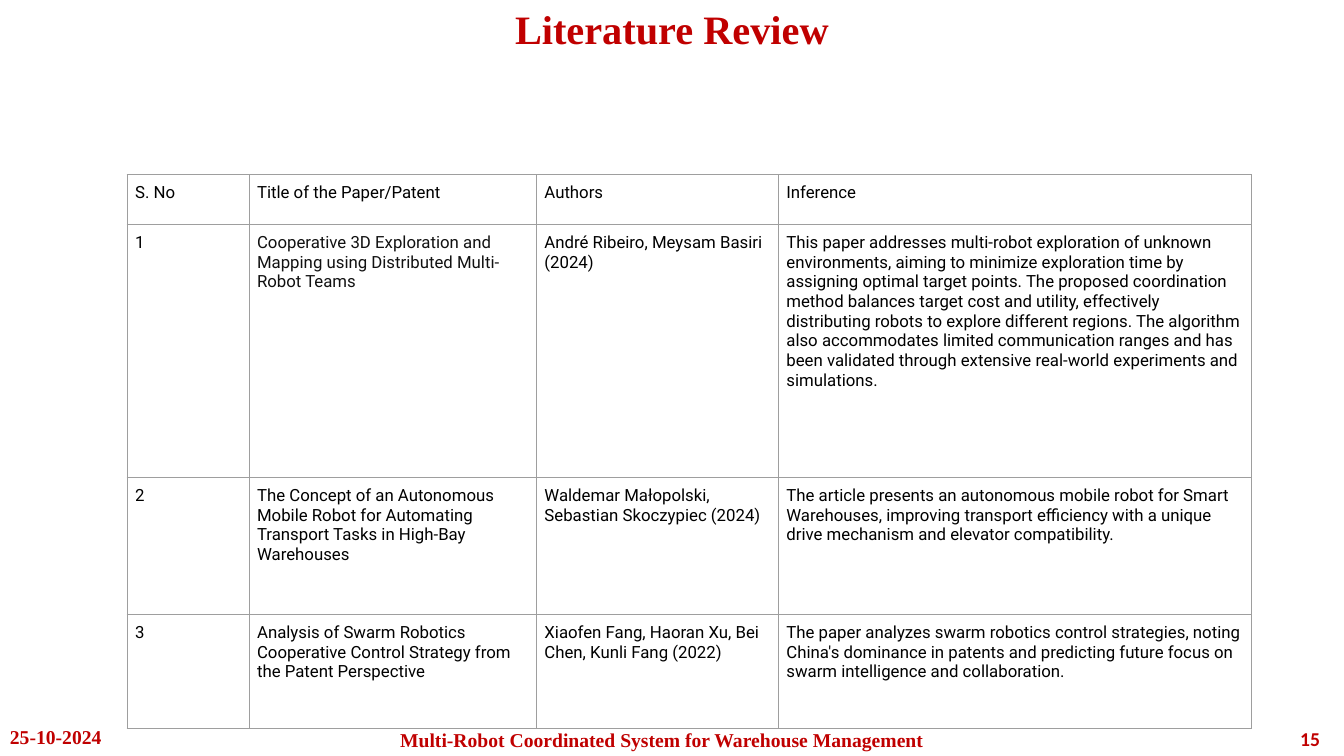
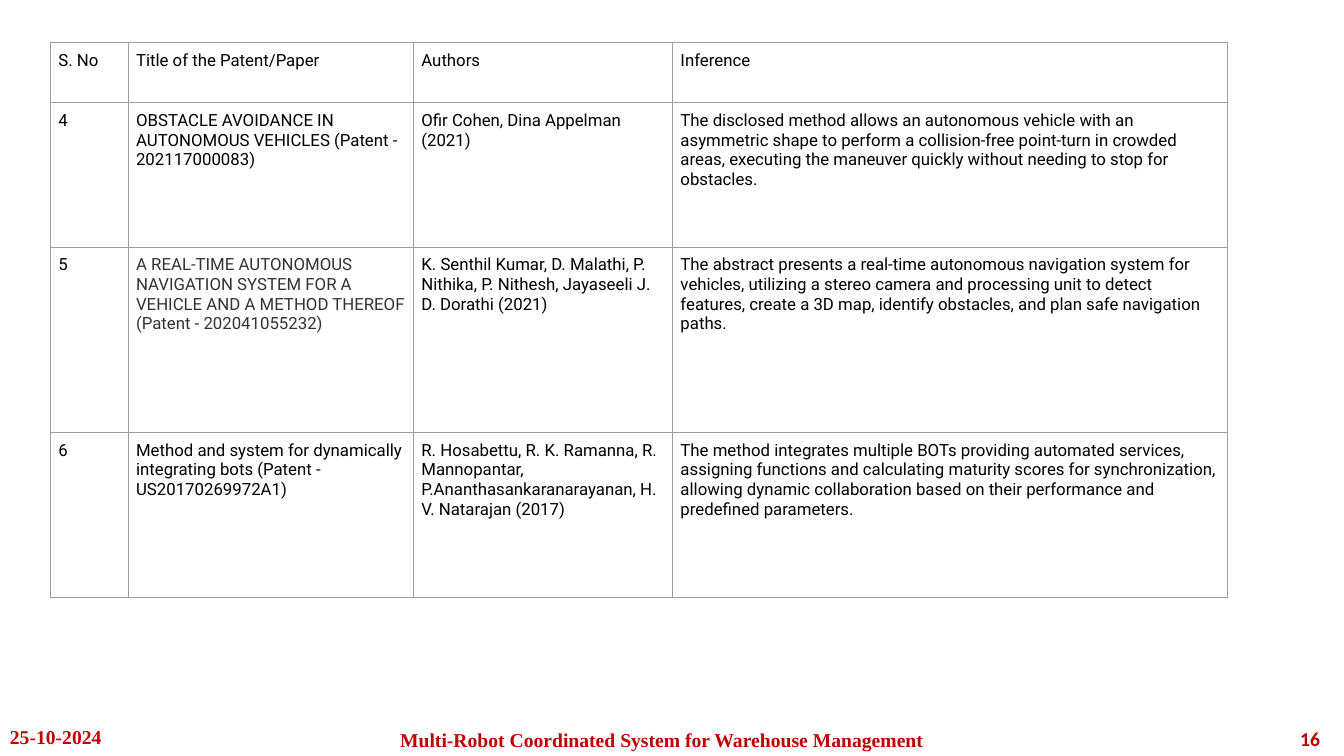
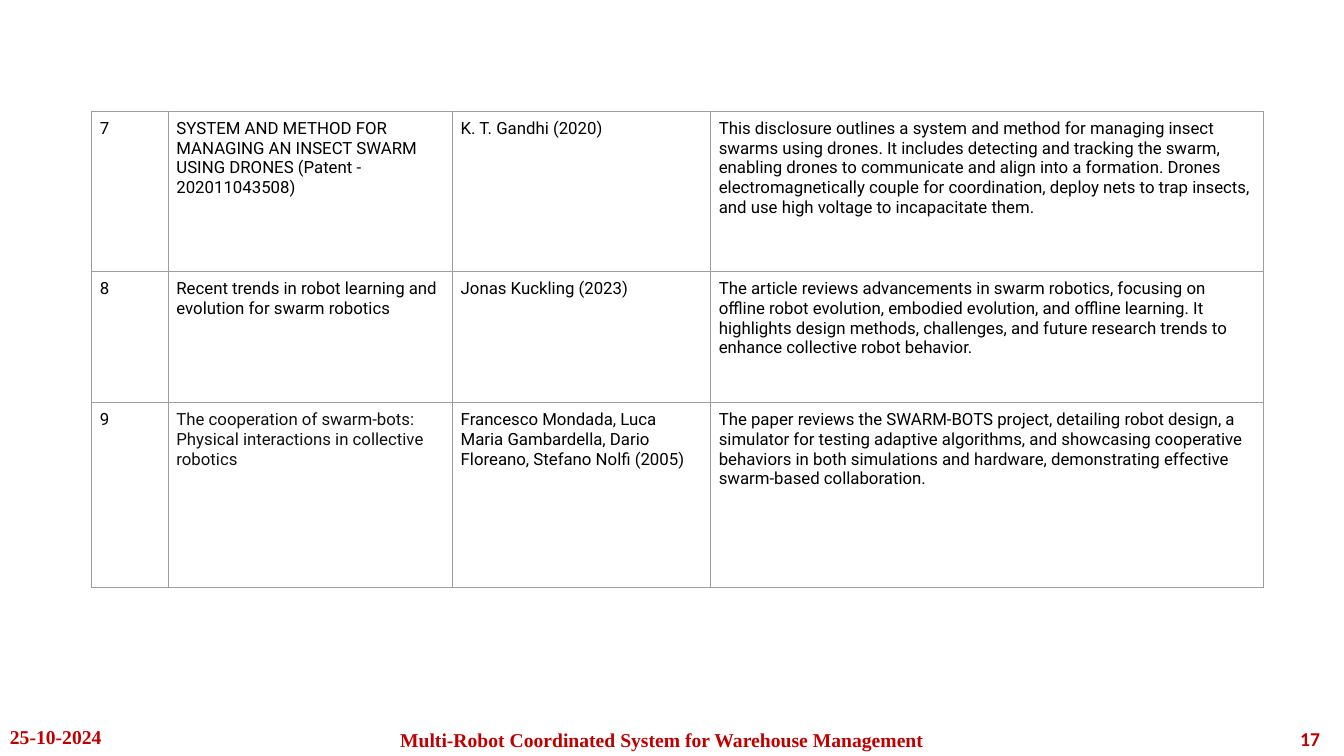
from dataclasses import dataclass

import pptx
import pptx.dml.color
import pptx.enum.text
import pptx.oxml
import pptx.oxml.ns
import pptx.util
from pptx.util import Inches

HUES = {"red": "C00000", "black": "000000", "ink": "111111", "slate": "333333", "rule": "9E9E9E"}
SERIF = "Times New Roman"
FIRST = 15
INSET = Inches(0.08)
ALIGN = pptx.enum.text.PP_ALIGN
MIDDLE = pptx.enum.text.MSO_ANCHOR.MIDDLE


@dataclass
class Label:
    left: float
    width: float
    height: float
    font: str
    align: ALIGN
    text: str = ""


@dataclass
class Paper:
    number: str
    title: str
    authors: str
    notes: str
    hue: str = "black"


@dataclass
class Page:
    left: float
    top: float
    cols: list[float]
    rows: list[float]
    papers: list[Paper]
    title: str = ""


FOOTER = [
    Label(0, 1.24, 0.33, SERIF, ALIGN.LEFT, "25-10-2024"),
    Label(3.74, 5.65, 0.4, SERIF, ALIGN.CENTER, "Multi-Robot Coordinated System for Warehouse Management"),
    Label(12.6, 0.59, 0.37, "Calibri", ALIGN.RIGHT),
]

PAGES = [
    Page(1.26, 1.73, [1.21, 2.85, 2.4, 4.69], [0.5, 2.51, 1.36, 1.13], [
        Paper("S. No", "Title of the Paper/Patent", "Authors", "Inference"),
        Paper("1", "Cooperative 3D Exploration and Mapping using Distributed Multi-Robot Teams",
              "André Ribeiro, Meysam Basiri (2024)",
              "This paper addresses multi-robot exploration of unknown environments, aiming to minimize "
              "exploration time by assigning optimal target points. The proposed coordination method "
              "balances target cost and utility, effectively distributing robots to explore different "
              "regions. The algorithm also accommodates limited communication ranges and has been "
              "validated through extensive real-world experiments and simulations.", "ink"),
        Paper("2", "The Concept of an Autonomous Mobile Robot for Automating Transport Tasks in "
              "High-Bay Warehouses",
              "Waldemar Małopolski, Sebastian Skoczypiec (2024)",
              "The article presents an autonomous mobile robot for Smart Warehouses, improving transport "
              "efficiency with a unique drive mechanism and elevator compatibility."),
        Paper("3", "Analysis of Swarm Robotics Cooperative Control Strategy from the Patent Perspective",
              "Xiaofen Fang, Haoran Xu, Bei Chen, Kunli Fang (2022)",
              "The paper analyzes swarm robotics control strategies, noting China's dominance in patents "
              "and predicting future focus on swarm intelligence and collaboration."),
    ], "Literature Review"),
    Page(0.5, 0.42, [0.77, 2.83, 2.57, 5.5], [0.6, 1.43, 1.84, 1.64], [
        Paper("S. No", "Title of the Patent/Paper", "Authors", "Inference"),
        Paper("4", "OBSTACLE AVOIDANCE IN AUTONOMOUS VEHICLES (Patent - 202117000083)",
              "Ofir Cohen, Dina Appelman (2021)",
              "The disclosed method allows an autonomous vehicle with an asymmetric shape to perform a "
              "collision-free point-turn in crowded areas, executing the maneuver quickly without "
              "needing to stop for obstacles."),
        Paper("5", "A REAL-TIME AUTONOMOUS NAVIGATION SYSTEM FOR A VEHICLE AND A METHOD THEREOF "
              "(Patent - 202041055232)",
              "K. Senthil Kumar, D. Malathi, P. Nithika, P. Nithesh, Jayaseeli J. D. Dorathi (2021)",
              "The abstract presents a real-time autonomous navigation system for vehicles, utilizing a "
              "stereo camera and processing unit to detect features, create a 3D map, identify "
              "obstacles, and plan safe navigation paths.", "slate"),
        Paper("6", "Method and system for dynamically integrating bots (Patent - US20170269972A1)",
              "R. Hosabettu, R. K. Ramanna, R. Mannopantar, P.Ananthasankaranarayanan, "
              "H. V. Natarajan (2017)",
              "The method integrates multiple BOTs providing automated services, assigning functions and "
              "calculating maturity scores for synchronization, allowing dynamic collaboration based on "
              "their performance and predefined parameters."),
    ]),
    Page(0.91, 1.1, [0.76, 2.82, 2.56, 5.48], [1.59, 1.3, 1.84], [
        Paper("7", "SYSTEM AND METHOD FOR MANAGING AN INSECT SWARM USING DRONES (Patent - 202011043508)",
              "K. T. Gandhi (2020)",
              "This disclosure outlines a system and method for managing insect swarms using drones. It "
              "includes detecting and tracking the swarm, enabling drones to communicate and align into "
              "a formation. Drones electromagnetically couple for coordination, deploy nets to trap "
              "insects, and use high voltage to incapacitate them."),
        Paper("8", "Recent trends in robot learning and evolution for swarm robotics",
              "Jonas Kuckling (2023)",
              "The article reviews advancements in swarm robotics, focusing on offline robot evolution, "
              "embodied evolution, and offline learning. It highlights design methods, challenges, and "
              "future research trends to enhance collective robot behavior."),
        Paper("9", "The cooperation of swarm-bots: Physical interactions in collective robotics",
              "Francesco Mondada, Luca Maria Gambardella, Dario Floreano, Stefano Nolfi (2005)",
              "The paper reviews the SWARM-BOTS project, detailing robot design, a simulator for testing "
              "adaptive algorithms, and showcasing cooperative behaviors in both simulations and "
              "hardware, demonstrating effective swarm-based collaboration.", "ink"),
    ]),
]


def write(frame, text: str, font: str, size: float, hue: str, bold: bool = False, align=ALIGN.LEFT) -> None:
    frame.text = text
    frame.word_wrap = True
    para = frame.paragraphs[0]
    para.alignment = align
    for run in para.runs:
        run.font.name = font
        run.font.size = pptx.util.Pt(size)
        run.font.bold = bold
        run.font.color.rgb = pptx.dml.color.RGBColor.from_string(HUES[hue])


def border(cell) -> None:
    props = cell._tc.get_or_add_tcPr()
    for side in ("lnL", "lnR", "lnT", "lnB"):
        props.append(pptx.oxml.parse_xml(
            f'<a:{side} {pptx.oxml.ns.nsdecls("a")} w="{pptx.util.Pt(0.6)}"><a:solidFill>'
            f'<a:srgbClr val="{HUES["rule"]}"/></a:solidFill></a:{side}>'))


def fill(cell, text: str, hue: str) -> None:
    write(cell.text_frame, text, "Roboto", 12, hue)
    cell.margin_left = cell.margin_right = cell.margin_top = cell.margin_bottom = INSET
    border(cell)
    cell.fill.background()


def grid(slide, page: Page) -> None:
    table = slide.shapes.add_table(
        len(page.rows), len(page.cols), Inches(page.left), Inches(page.top),
        Inches(sum(page.cols)), Inches(sum(page.rows))).table
    table.first_row = table.horz_banding = False
    for col, width in zip(table.columns, page.cols):
        col.width = Inches(width)
    for row, height, paper in zip(table.rows, page.rows, page.papers):
        row.height = Inches(height)
        texts = (paper.number, paper.title, paper.authors, paper.notes)
        for cell, text in zip(row.cells, texts):
            fill(cell, text, paper.hue if text == paper.title else "black")


def head(slide, text: str) -> None:
    title = slide.shapes.title
    title.left, title.top, title.width, title.height = Inches(0), Inches(0.02), Inches(13.33), Inches(0.59)
    write(title.text_frame, text, SERIF, 28.8, "red", True, ALIGN.CENTER)
    title.text_frame.vertical_anchor = MIDDLE
    title.text_frame.paragraphs[0].line_spacing = 0.9


def foot(slide, number: int) -> None:
    for item in FOOTER:
        box = slide.shapes.add_textbox(
            Inches(item.left), Inches(7.14), Inches(item.width), Inches(item.height))
        write(box.text_frame, item.text or str(number), item.font, 14, "red", True, item.align)
        box.text_frame.vertical_anchor = MIDDLE


def main() -> None:
    deck = pptx.Presentation()
    deck.slide_width, deck.slide_height = Inches(13.33), Inches(7.5)
    for number, page in enumerate(PAGES, FIRST):
        slide = deck.slides.add_slide(deck.slide_layouts[5 if page.title else 6])
        if page.title:
            head(slide, page.title)
        grid(slide, page)
        foot(slide, number)
    deck.save("out.pptx")


if __name__ == "__main__":
    main()
